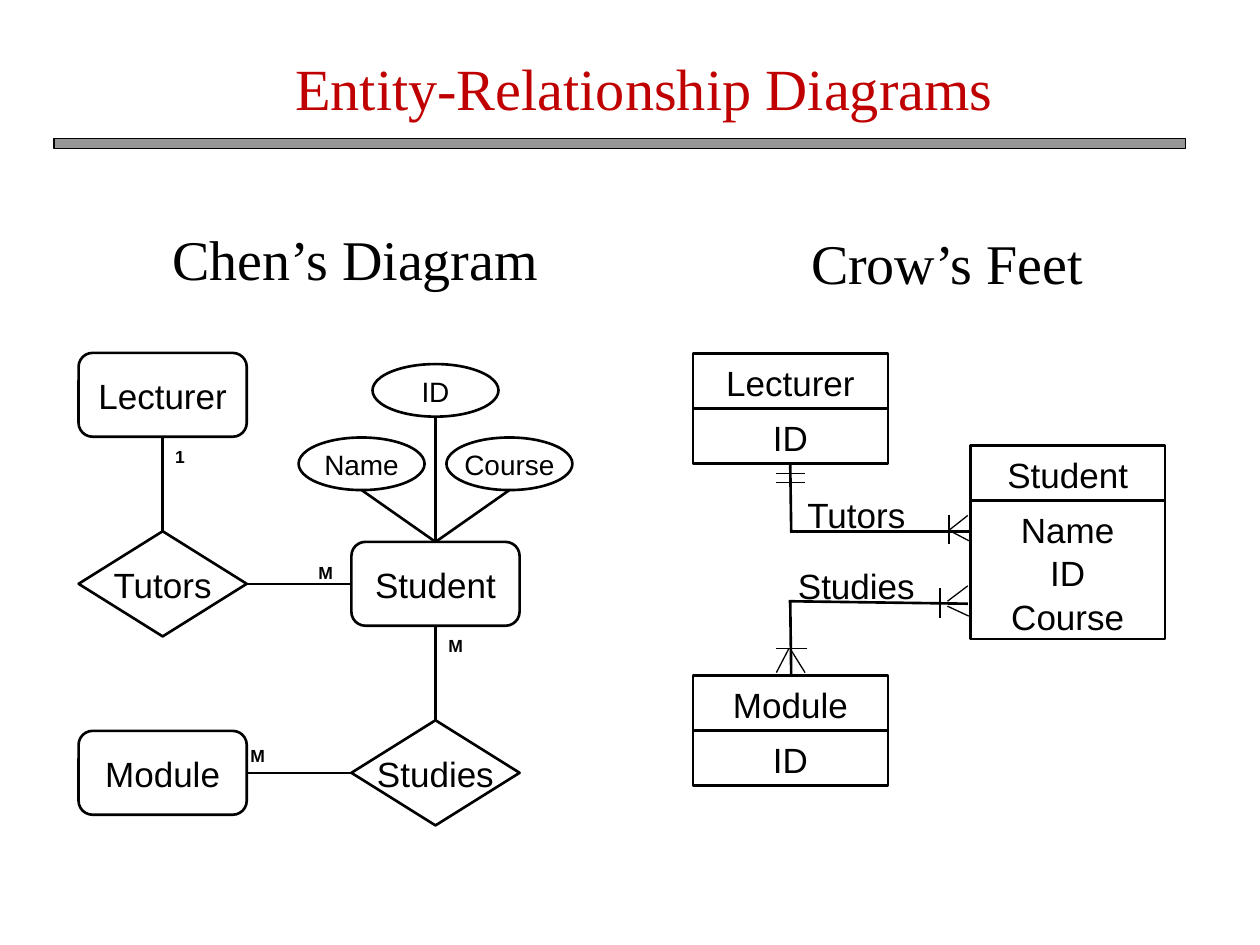
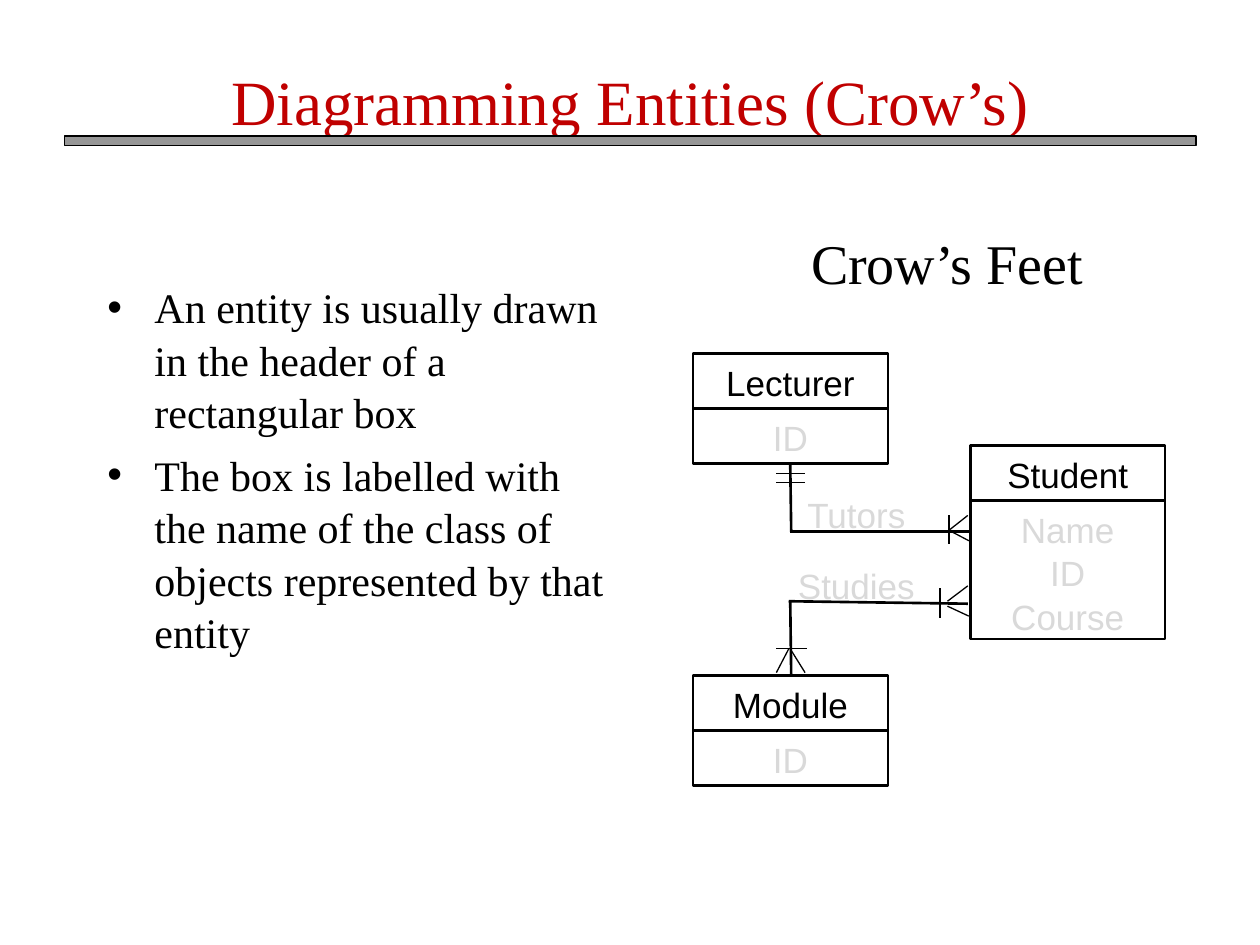
from lxml import etree
from pptx import Presentation
from pptx.dml.color import RGBColor
from pptx.enum.shapes import MSO_CONNECTOR, MSO_SHAPE
from pptx.enum.text import MSO_ANCHOR, MSO_AUTO_SIZE, PP_ALIGN
from pptx.oxml.ns import qn
from pptx.util import Cm, Pt

BLACK = RGBColor(0x00, 0x00, 0x00)
RED = RGBColor(0xC0, 0x00, 0x00)
GREY = RGBColor(0x96, 0x96, 0x96)
PALE = RGBColor(0xD9, 0xD9, 0xD9)
SERIF = "Times New Roman"
SANS = "Arial"
THICK = 1.5
THIN = 0.75

STRAIGHT = MSO_CONNECTOR.STRAIGHT
RECTANGLE = MSO_SHAPE.RECTANGLE
ROUNDED = MSO_SHAPE.ROUNDED_RECTANGLE
DIAMOND = MSO_SHAPE.DIAMOND
ELLIPSE = MSO_SHAPE.OVAL
LEFT = PP_ALIGN.LEFT
CENTER = PP_ALIGN.CENTER
TOP = MSO_ANCHOR.TOP
MIDDLE = MSO_ANCHOR.MIDDLE
NO_FIT = MSO_AUTO_SIZE.NONE

TITLE_ONLY = 5
TITLE_AND_BODY = 1
TOP_SITE, LEFT_SITE, BOTTOM_SITE, RIGHT_SITE = range(4)

CHEN_COLUMNS = [3.28, 8.78]
CHEN_ROWS = [7.96 + 3.81 * row for row in range(3)]
CHEN_WIDTH = 3.39
ENTITY_HEIGHT = 1.69
RELATION_HEIGHT = 2.12
ATTRIBUTE_WIDTH = 2.54
ATTRIBUTE_HEIGHT = 1.06

TABLE_WIDTH = 3.93
HEADER_HEIGHT = 1.11
LINE_HEIGHT = 0.84
CROW_ENTITIES = [
    ("Lecturer", ["ID"], 13.97, 7.13),
    ("Student", ["Name", "ID", "Course"], 19.56, 8.98),
    ("Module", ["ID"], 13.97, 13.62),
]
CROW_LINKS = [
    (15.93, 10.72, 19.53, 10.72),
    (15.93, 9.35, 15.95, 10.72),
    (15.93, 12.12, 15.95, 13.64),
    (15.9, 12.12, 19.51, 12.17),
]
CROW_MARKS = [
    (15.65, 9.55, 16.23, 9.55),
    (15.65, 9.73, 16.23, 9.73),
    (19.13, 10.39, 19.13, 10.97),
    (19.13, 10.69, 19.51, 10.39),
    (19.13, 10.69, 19.53, 10.9),
    (19.1, 12.22, 19.53, 12.42),
    (19.1, 12.12, 19.51, 11.81),
    (18.95, 11.86, 18.95, 12.45),
    (15.65, 13.08, 16.26, 13.08),
    (15.9, 13.08, 15.65, 13.56),
    (15.93, 13.08, 16.23, 13.56),
]


def write(frame, lines, size=20, font=SANS, color=BLACK, bold=False, align=CENTER,
          anchor=MIDDLE, wrap=False, hanging=0, space=0):
    frame.auto_size = NO_FIT
    frame.word_wrap = wrap
    frame.vertical_anchor = anchor
    for index, line in enumerate(lines):
        paragraph = frame.add_paragraph() if index else frame.paragraphs[0]
        paragraph.alignment = align
        paragraph.line_spacing = 1.04
        paragraph.space_before = Pt(space if index else 0)
        if hanging:
            properties = paragraph._p.get_or_add_pPr()
            properties.set("marL", str(Cm(hanging)))
            properties.set("indent", str(-Cm(hanging)))
        run = paragraph.add_run()
        run.text = line
        run.font.size = Pt(size)
        run.font.name = font
        run.font.bold = bold
        run.font.color.rgb = color


class Deck:
    def __init__(self):
        self.presentation = Presentation()
        self.presentation.slide_width = Cm(25.4)
        self.presentation.slide_height = Cm(19.05)
        self.slide = None

    def start(self, layout):
        layouts = self.presentation.slide_layouts
        self.slide = self.presentation.slides.add_slide(layouts[layout])

    def placeholder(self, index, lines, left, top, width, height, **style):
        holder = self.slide.placeholders[index]
        holder.left, holder.top = Cm(left), Cm(top)
        holder.width, holder.height = Cm(width), Cm(height)
        write(holder.text_frame, lines, font=SERIF, wrap=True, **style)

    def box(self, kind, lines, left, top, width, height, fill=None, weight=THICK, **style):
        shape = self.slide.shapes.add_shape(kind, Cm(left), Cm(top), Cm(width), Cm(height))
        shape.shadow.inherit = False
        if fill is None:
            shape.fill.background()
        else:
            shape.fill.solid()
            shape.fill.fore_color.rgb = fill
        shape.line.color.rgb = BLACK
        shape.line.width = Pt(weight)
        write(shape.text_frame, lines, **style)
        return shape

    def node(self, kind, name, x, y, width, height, **style):
        return self.box(kind, [name], x - width / 2, y - height / 2, width, height, **style)

    def label(self, text, left, top, width, height, **style):
        area = self.slide.shapes.add_textbox(Cm(left), Cm(top), Cm(width), Cm(height))
        write(area.text_frame, [text], **style)

    def heading(self, text, left, top, width):
        self.label(text, left, top, width, 1.63, size=32, font=SERIF, align=LEFT, anchor=TOP)

    def cardinality(self, text, left, top):
        self.label(text, left, top, 0.8, 0.69, size=10, bold=True, align=LEFT, anchor=TOP)

    def line(self, x1, y1, x2, y2, weight=THICK):
        connector = self.slide.shapes.add_connector(STRAIGHT, Cm(x1), Cm(y1), Cm(x2), Cm(y2))
        connector.line.color.rgb = BLACK
        connector.line.width = Pt(weight)
        etree.SubElement(connector._element.spPr, qn("a:effectLst"))
        return connector

    def link(self, start, start_site, end, end_site):
        connector = self.line(0, 0, 1, 1)
        connector.begin_connect(start, start_site)
        connector.end_connect(end, end_site)

    def band(self, left, top):
        self.box(RECTANGLE, [], left, top, 22.81, 0.2, fill=GREY, weight=THIN)

    def entity_table(self, name, attributes, left, top, color):
        self.box(RECTANGLE, [name], left, top, TABLE_WIDTH, HEADER_HEIGHT, anchor=TOP)
        height = HEADER_HEIGHT + LINE_HEIGHT * (len(attributes) - 1)
        self.box(RECTANGLE, attributes, left, top + HEADER_HEIGHT, TABLE_WIDTH, height,
                 anchor=TOP, color=color)

    def crow_diagram(self, detail_color):
        self.heading("Crow’s Feet", 16.1, 4.42, 6.07)
        for name, attributes, left, top in CROW_ENTITIES:
            self.entity_table(name, attributes, left, top, detail_color)
        for ends in CROW_LINKS:
            self.line(*ends)
        for relation, top in [("Studies", 10.72), ("Tutors", 9.3)]:
            self.label(relation, 15.57, top, CHEN_WIDTH, RELATION_HEIGHT, color=detail_color)
        for ends in CROW_MARKS:
            self.line(*ends, weight=THIN)

    def chen_diagram(self):
        self.heading("Chen’s Diagram", 3.23, 4.34, 7.95)
        nodes = {}
        for kind, height, name, column, row in [
            (ROUNDED, ENTITY_HEIGHT, "Student", 1, 1),
            (ROUNDED, ENTITY_HEIGHT, "Lecturer", 0, 0),
            (ROUNDED, ENTITY_HEIGHT, "Module", 0, 2),
            (DIAMOND, RELATION_HEIGHT, "Tutors", 0, 1),
            (DIAMOND, RELATION_HEIGHT, "Studies", 1, 2),
        ]:
            nodes[name] = self.node(kind, name, CHEN_COLUMNS[column], CHEN_ROWS[row],
                                    CHEN_WIDTH, height)
        for start, start_site, end, end_site in [
            ("Lecturer", BOTTOM_SITE, "Tutors", TOP_SITE),
            ("Tutors", RIGHT_SITE, "Student", LEFT_SITE),
            ("Student", BOTTOM_SITE, "Studies", TOP_SITE),
            ("Module", RIGHT_SITE, "Studies", LEFT_SITE),
        ]:
            self.link(nodes[start], start_site, nodes[end], end_site)

        student_x = CHEN_COLUMNS[1]
        student_top = CHEN_ROWS[1] - ENTITY_HEIGHT / 2
        for name, offset, y in [("ID", 0, 7.87), ("Course", 1.49, 9.35), ("Name", -1.49, 9.35)]:
            x = student_x + offset
            self.node(ELLIPSE, name, x, y, ATTRIBUTE_WIDTH, ATTRIBUTE_HEIGHT, size=16)
            self.line(student_x, student_top, x, y + ATTRIBUTE_HEIGHT / 2)
        for mark, left, top in [("M", 6.17, 11.18), ("1", 3.28, 8.86),
                                ("M", 8.79, 12.67), ("M", 4.8, 14.88)]:
            self.cardinality(mark, left, top)


def main():
    deck = Deck()

    deck.start(TITLE_ONLY)
    deck.band(1.09, 2.79)
    deck.placeholder(0, ["Entity-Relationship Diagrams"], 2.49, 0.86, 21.01, 1.73,
                     size=33.3, color=RED)
    deck.chen_diagram()
    deck.crow_diagram(BLACK)

    deck.start(TITLE_AND_BODY)
    deck.placeholder(0, ["Diagramming Entities (Crow’s)"], 1.91, 0.41, 21.59, 3.18,
                     size=36, color=RED)
    deck.placeholder(1, [
        "An entity is usually drawn in the header of a rectangular box",
        "The box is labelled with the name of the class of objects represented by that entity",
    ], 1.91, 5.51, 10.59, 11.43, size=24, align=LEFT, anchor=TOP, hanging=0.95, space=6)
    deck.band(1.3, 2.74)
    deck.crow_diagram(PALE)

    deck.presentation.save("out.pptx")


if __name__ == "__main__":
    main()
